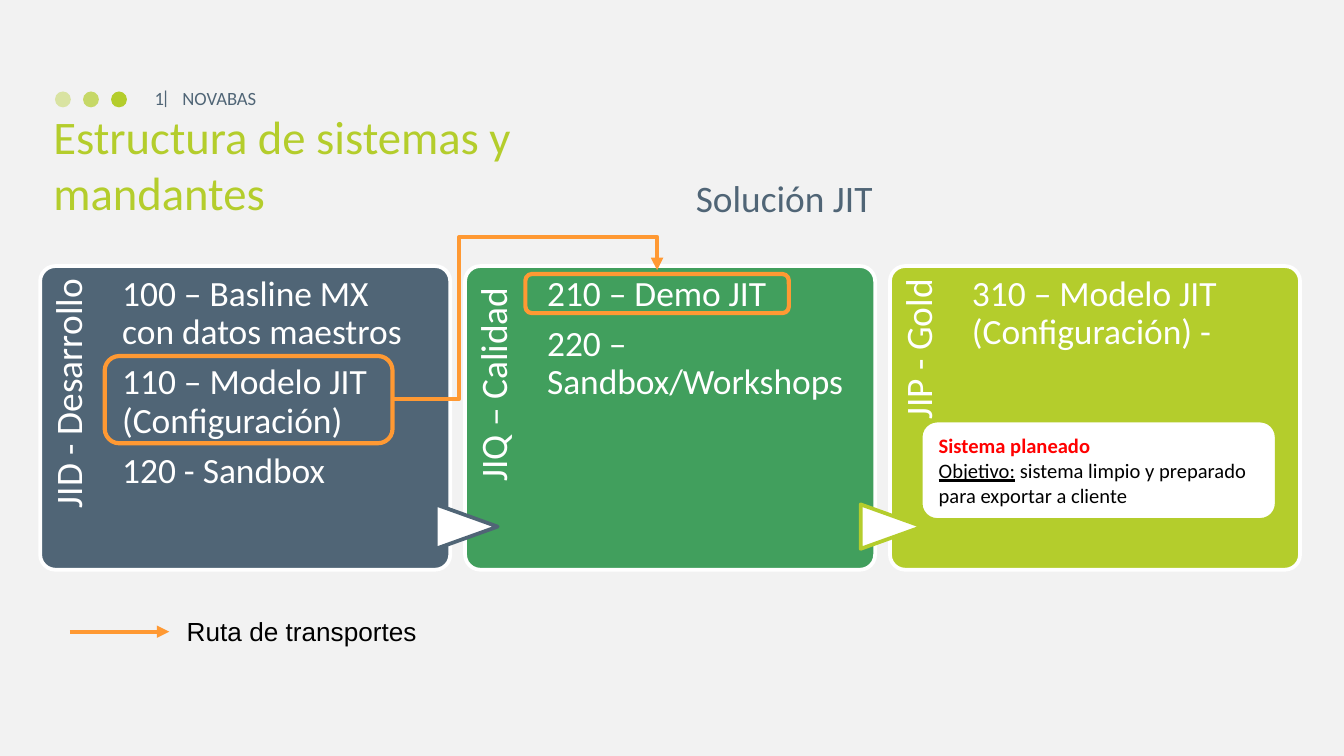
"""Build the slide on the structure of systems and clients."""
from lxml import etree
from pptx import Presentation
from pptx import util as u
from pptx.dml.color import RGBColor
from pptx.enum import shapes, text
from pptx.oxml import ns

Cm, Pt = u.Cm, u.Pt
SHAPE, ANCHOR, ALIGN = shapes.MSO_SHAPE, text.MSO_ANCHOR, text.PP_ALIGN
SLATE = RGBColor(0x50, 0x65, 0x76)
GREEN = RGBColor(0x41, 0x9F, 0x5D)
LIME = RGBColor(0xB4, 0xCD, 0x2C)
ORANGE = RGBColor(0xFF, 0x99, 0x33)
RED = RGBColor(0xFF, 0, 0)
WHITE = RGBColor(0xFF, 0xFF, 0xFF)
BLACK = RGBColor(0, 0, 0)
GREY = RGBColor(0xF2, 0xF2, 0xF2)

prs = Presentation()
prs.slide_width, prs.slide_height = Cm(25.4), Cm(14.29)
s = prs.slides.add_slide(prs.slide_layouts[6])
s.background.fill.solid()
s.background.fill.fore_color.rgb = GREY


def add_text(box, paras, size=10, color=SLATE, font="Calibri", anchor=ANCHOR.TOP,
             align=ALIGN.LEFT, insets=(0.25, 0.13, 0.25, 0.13), spacing=None,
             after=0, wrap=True, rotation=0):
    """Write paragraphs into a shape, or into a new box given as (x, y, w, h)."""
    sp = s.shapes.add_textbox(*map(Cm, box)) if isinstance(box, tuple) else box
    sp.rotation = rotation
    tf = sp.text_frame
    tf.word_wrap, tf.vertical_anchor = wrap, anchor
    tf.margin_left, tf.margin_top, tf.margin_right, tf.margin_bottom = map(Cm, insets)
    for i, runs in enumerate(paras):
        p = tf.add_paragraph() if i else tf.paragraphs[0]
        p.alignment, p.line_spacing, p.space_after = align, spacing, Pt(after)
        for words, style in ([(runs, {})] if isinstance(runs, str) else runs):
            r = p.add_run()
            r.text = words
            r.font.name, r.font.size = font, Pt(size)
            r.font.color.rgb = style.get("color", color)
            r.font.bold = style.get("bold", False)
            r.font.underline = style.get("underline", False)


def add_shape(kind, x, y, w, h, fill=None, line=None, width=2, adj=None):
    """Add a preset shape without a shadow."""
    sp = s.shapes.add_shape(kind, Cm(x), Cm(y), Cm(w), Cm(h))
    sp.shadow.inherit = False
    if adj is not None:
        sp.adjustments[0] = adj
    for part, color in ((sp.fill, fill), (sp.line.fill, line)):
        if color is None:
            part.background()
        else:
            part.solid()
            part.fore_color.rgb = color
    if line is not None:
        sp.line.width = Pt(width)
    return sp


for i, alpha in enumerate((40, 70, 100)):
    dot = add_shape(SHAPE.OVAL, 1.04 + i * 0.53, 1.73, 0.3, 0.3, LIME)
    clr = dot.fill._xPr.find(".//" + ns.qn("a:srgbClr"))
    etree.SubElement(clr, ns.qn("a:alpha"), val=str(alpha * 1000))

add_text((3.05, 1.68, 0.15, 0.38), ["|"], insets=(0.25, 0.13, 0.25, 0),
         spacing=0.5, wrap=False)
add_text((0.76, 1.9, 11.66, 2.39), ["Estructura de sistemas y mandantes"],
         size=25, color=LIME, anchor=ANCHOR.BOTTOM)
add_text((12.9, 1.9, 11.23, 2.39), ["Solución JIT"], size=20, anchor=ANCHOR.BOTTOM)
add_text((3.2, 1.47, 8.05, 0.76), ["NOVABAS"], anchor=ANCHOR.MIDDLE)
add_text((2.18, 1.47, 1.17, 0.76), ["1"], anchor=ANCHOR.MIDDLE, align=ALIGN.RIGHT)

systems = [
    (SLATE, "JID - Desarrollo", ["100 – Basline MX con datos maestros",
                                 "110 – Modelo JIT (Configuración)", "120 - Sandbox"]),
    (GREEN, "JIQ – Calidad ", ["210 – Demo JIT", "220 – Sandbox/Workshops"]),
    (LIME, "JIP - Gold", ["310 – Modelo JIT (Configuración) - "]),
]
arrow_lines = (None, SLATE, LIME)
for i, (color, name, clients) in enumerate(systems):
    x = 0.76 + i * 8.03
    add_shape(SHAPE.ROUNDED_RECTANGLE, x, 5.03, 7.75, 5.74, color, WHITE, adj=0.05)
    add_text((x - 1.57, 6.6, 4.7, 1.55), [name], size=20, color=WHITE,
             align=ALIGN.RIGHT, insets=(0, 0.18, 0.25, 0), spacing=0.9, rotation=270)
    if i:
        arrow = add_shape(SHAPE.FLOWCHART_EXTRACT, x - 0.39, 9.37, 0.84, 1.17,
                          WHITE, arrow_lines[i])
        arrow.rotation = 90
    add_text((x + 1.55, 5.03, 5.77, 5.74), clients, size=19, color=WHITE,
             insets=(0, 0.18, 0, 0), spacing=0.9, after=6.5)

note = add_shape(SHAPE.ROUNDED_RECTANGLE, 17.4, 7.95, 6.73, 1.88, WHITE, LIME)
add_text(note, [[("Sistema planeado", {"color": RED, "bold": True})],
                [("Objetivo:", {"underline": True}),
                 (" sistema limpio y preparado para exportar a cliente", {})]],
         size=11, color=BLACK, anchor=ANCHOR.MIDDLE)

for box in ((1.98, 6.73, 5.44, 1.65), (9.93, 5.18, 4.98, 0.74)):
    add_shape(SHAPE.ROUNDED_RECTANGLE, *box, line=ORANGE, width=2.25)

CONNECTOR = shapes.MSO_CONNECTOR
routes = [
    (CONNECTOR.ELBOW, (7.42, 7.54, 12.42, 5.11), (25200, 125900)),
    (CONNECTOR.STRAIGHT, (1.32, 11.94, 3.2, 11.94), ()),
]
for kind, ends, bends in routes:
    cxn = s.shapes.add_connector(kind, *map(Cm, ends))
    cxn.line.color.rgb = ORANGE
    cxn.line.width = Pt(2.25)
    etree.SubElement(cxn.line._get_or_add_ln(), ns.qn("a:tailEnd"), type="triangle")
    spPr = cxn._element.spPr
    etree.SubElement(spPr, ns.qn("a:effectLst"))
    if bends:
        geom = spPr.find(ns.qn("a:prstGeom"))
        geom.set("prst", "bentConnector4")
        guides = geom.find(ns.qn("a:avLst"))
        for n, bend in enumerate(bends, 1):
            etree.SubElement(guides, ns.qn("a:gd"), name=f"adj{n}", fmla=f"val {bend}")

add_text((3.28, 11.51, 7.9, 0.86), ["Ruta de transportes"], size=14, color=BLACK,
         font="Arial")

prs.save("out.pptx")
